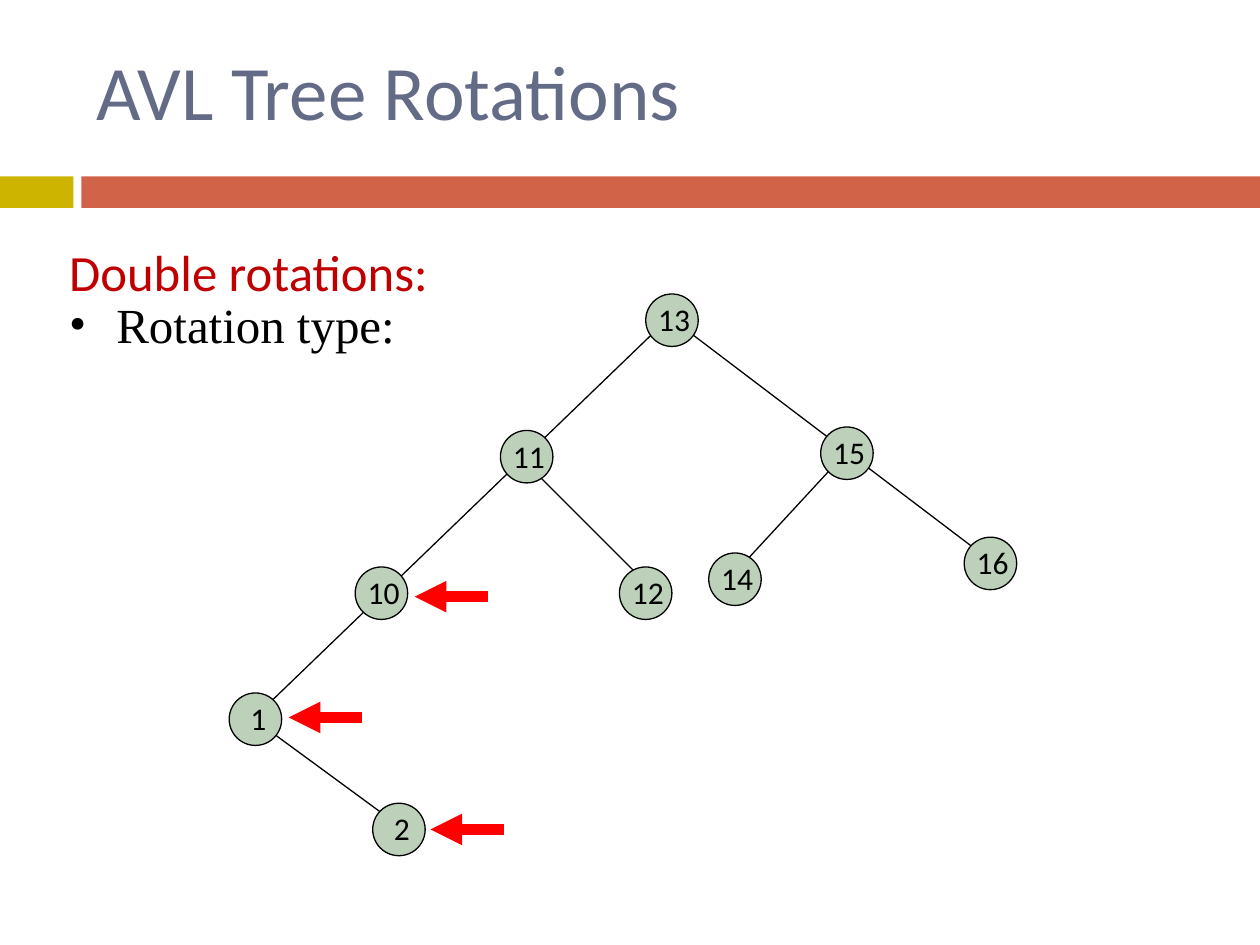
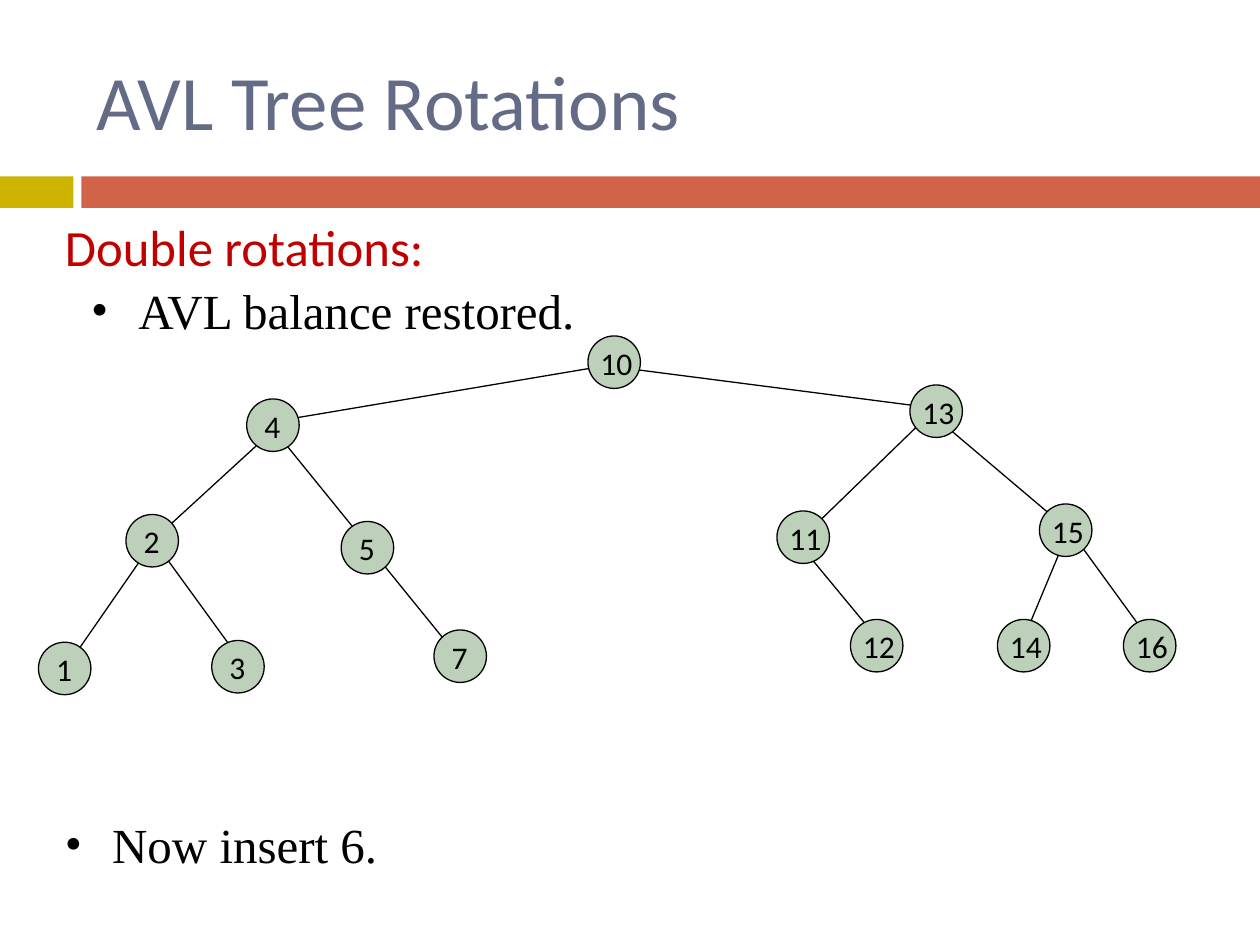
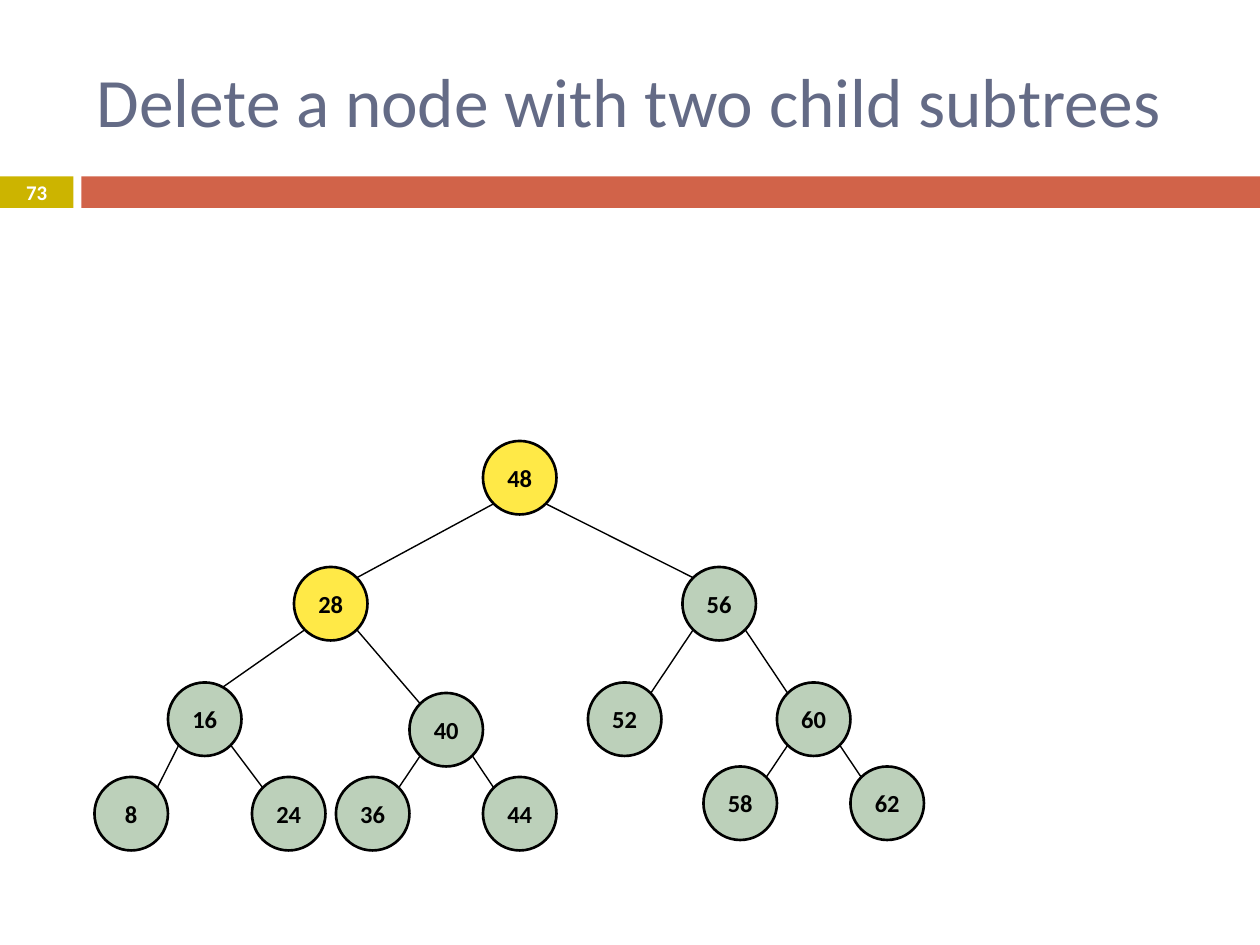
from lxml.etree import SubElement
from pptx import Presentation
from pptx.dml.color import RGBColor
from pptx.enum.shapes import MSO_CONNECTOR, MSO_SHAPE
from pptx.enum.text import MSO_ANCHOR, MSO_AUTO_SIZE, PP_ALIGN
from pptx.oxml.ns import qn
from pptx.util import Pt

SLATE = "646B86"
OLIVE = "CCB400"
BRICK = "D16349"
SAGE = "BCD0BA"
YELLOW = "FFE947"
DARK_RED = "C00000"
RED = "FF0000"
BLACK = "000000"
WHITE = "FFFFFF"

SMALL_NODE = 30
LARGE_NODE = 42
CORNER = 0.146


def colour(code):
    return RGBColor.from_string(code)


class TreeDeck:
    sans = "Calibri"
    serif = "Times New Roman"

    def __init__(self):
        self.deck = Presentation()
        self.deck.slide_width = Pt(720)
        self.deck.slide_height = Pt(540)
        self.slide = None

    def start(self, title, top, width, height, size=44):
        self.slide = self.deck.slides.add_slide(self.deck.slide_layouts[5])
        self.outline(MSO_SHAPE.RECTANGLE, 0, 100.8, 42, 18, OLIVE)
        self.outline(MSO_SHAPE.RECTANGLE, 46.5, 100.8, 673.5, 18, BRICK)
        heading = self.slide.shapes.title
        heading.left, heading.top = Pt(48), Pt(top)
        heading.width, heading.height = Pt(width), Pt(height)
        self.letter(heading.text_frame, title, size, SLATE, anchor=MSO_ANCHOR.MIDDLE)

    def letter(self, frame, words, size, ink, font=None, bold=False,
               align=PP_ALIGN.LEFT, anchor=MSO_ANCHOR.TOP):
        frame.word_wrap = True
        frame.auto_size = MSO_AUTO_SIZE.NONE
        frame.vertical_anchor = anchor
        paragraph = frame.paragraphs[0]
        paragraph.alignment = align
        run = paragraph.add_run()
        run.text = words
        run.font.name = font or self.sans
        run.font.size = Pt(size)
        run.font.bold = bold
        run.font.color.rgb = colour(ink)
        return paragraph

    def text(self, words, left, top, width, height, size, ink, **style):
        box = self.slide.shapes.add_textbox(Pt(left), Pt(top), Pt(width), Pt(height))
        return self.letter(box.text_frame, words, size, ink, **style)

    def hang(self, paragraph, indent, before):
        paragraph.space_before = Pt(before)
        properties = paragraph._p.get_or_add_pPr()
        properties.set("marL", str(Pt(indent)))
        properties.set("indent", str(-Pt(indent)))
        return properties

    def subheading(self, words, left, top, width):
        self.hang(self.text(words, left, top, width, 48, 29, DARK_RED), 25, 7)

    def bullet(self, words, left, top):
        paragraph = self.text(words, left, top, 309, 48, 28, BLACK, font=self.serif)
        properties = self.hang(paragraph, 27, 5.6)
        SubElement(properties, qn("a:buFont")).set("typeface", self.serif)
        SubElement(properties, qn("a:buChar")).set("char", "\u2022")

    def page_number(self, number):
        self.text(number, 0, 100, 42, 19.5, 11.9, WHITE, bold=True,
                  align=PP_ALIGN.CENTER, anchor=MSO_ANCHOR.MIDDLE)

    def outline(self, preset, left, top, width, height, fill, border=0):
        shape = self.slide.shapes.add_shape(preset, Pt(left), Pt(top), Pt(width), Pt(height))
        shape.shadow.inherit = False
        shape.fill.solid()
        shape.fill.fore_color.rgb = colour(fill)
        if border:
            shape.line.color.rgb = colour(BLACK)
            shape.line.width = Pt(border)
        else:
            shape.line.fill.background()
        return shape

    def line(self, start, end, ink=BLACK, weight=0.75):
        points = [Pt(value) for value in (*start, *end)]
        connector = self.slide.shapes.add_connector(MSO_CONNECTOR.STRAIGHT, *points)
        connector.line.color.rgb = colour(ink)
        connector.line.width = Pt(weight)
        SubElement(connector._element.spPr, qn("a:effectLst"))
        return connector

    def pointer(self, left, middle):
        arrow = self.line((left + 42, middle), (left, middle), RED, 6)
        SubElement(arrow.line._get_or_add_ln(), qn("a:tailEnd")).set("type", "triangle")

    def small_tree(self, nodes, branches, digit_shift, drop=0):
        for start, end in branches:
            self.line(start, end)
        for left, top in nodes.values():
            self.outline(MSO_SHAPE.OVAL, left, top, SMALL_NODE, SMALL_NODE, SAGE, 0.75)
        for key, (left, top) in nodes.items():
            shift = digit_shift if key < 10 else 0
            self.text(str(key), left + shift, top + drop, 36, 28.8, 18, BLACK)

    def large_node(self, key, left, top, fill):
        node = self.outline(MSO_SHAPE.OVAL, left, top, LARGE_NODE, LARGE_NODE, fill, 1.5)
        frame = node.text_frame
        frame.margin_left = frame.margin_right = 0
        self.letter(frame, str(key), 14, BLACK, bold=True,
                    align=PP_ALIGN.CENTER, anchor=MSO_ANCHOR.MIDDLE)

    def large_branch(self, parent, child):
        near, far = CORNER * LARGE_NODE, (1 - CORNER) * LARGE_NODE
        leaves, meets = (near, far) if child[0] < parent[0] else (far, near)
        self.line((parent[0] + leaves, parent[1] + far),
                  (child[0] + meets, child[1] + near), weight=0.79)


talk = TreeDeck()

talk.start("AVL Tree Rotations", 12, 612, 78)
talk.subheading("Double rotations:", 32.4, 134, 672)
talk.bullet("Rotation type:", 32.4, 165)
for left, middle in [(237, 341), (246, 474), (165, 410)]:
    talk.pointer(left, middle)
talk.small_tree(
    {13: (369, 168), 15: (469, 244), 16: (551, 307), 11: (286, 246), 14: (405, 316),
     10: (203, 324), 1: (131, 396), 2: (213, 459), 12: (354, 324)},
    [((302, 266), (374, 338)), ((141, 408), (231, 474)), ((484, 258), (424, 323)),
     ((135, 420), (384, 180)), ((381, 180), (555, 312))],
    digit_shift=5)

talk.start("AVL Tree Rotations", 12, 612, 90)
talk.subheading("Double rotations:", 30, 120, 276)
talk.small_tree(
    {10: (336, 192), 13: (520, 220), 15: (594, 288), 4: (141, 228), 11: (444, 292),
     2: (72, 294), 5: (195, 298), 7: (248, 360), 12: (486, 354), 14: (570, 354),
     16: (642, 354), 3: (121, 366), 1: (22, 367)},
    [((90, 306), (36, 384)), ((90, 312), (138, 378)), ((156, 246), (84, 312)),
     ((612, 304), (660, 370)), ((456, 310), (504, 368)), ((354, 210), (540, 234)),
     ((162, 240), (352, 208)), ((612, 300), (582, 372)), ((152, 240), (264, 378)),
     ((534, 234), (468, 298)), ((534, 238), (612, 304))],
    digit_shift=3, drop=1)
talk.bullet("AVL balance restored.", 45, 157)
talk.bullet("Now insert 6.", 30, 462)

talk.start("Delete a node with two child subtrees", 18, 642, 78, 39.6)
talk.page_number("73")
search_tree = {
    48: (276, 252), 28: (168, 324), 56: (390, 324), 16: (96, 390), 40: (234, 396),
    52: (336, 390), 60: (444, 390), 8: (54, 444), 24: (144, 444), 36: (192, 444),
    44: (276, 444), 58: (402, 438), 62: (486, 438)}
children = {48: (28, 56), 28: (40,), 56: (52, 60), 16: (8, 24), 40: (36, 44), 60: (58, 62)}
for parent, keys in children.items():
    for key in keys:
        talk.large_branch(search_tree[parent], search_tree[key])
talk.line((174, 360), (114, 402), weight=0.79)
for key, (left, top) in search_tree.items():
    talk.large_node(key, left, top, YELLOW if key in (48, 28) else SAGE)

talk.deck.save("out.pptx")
